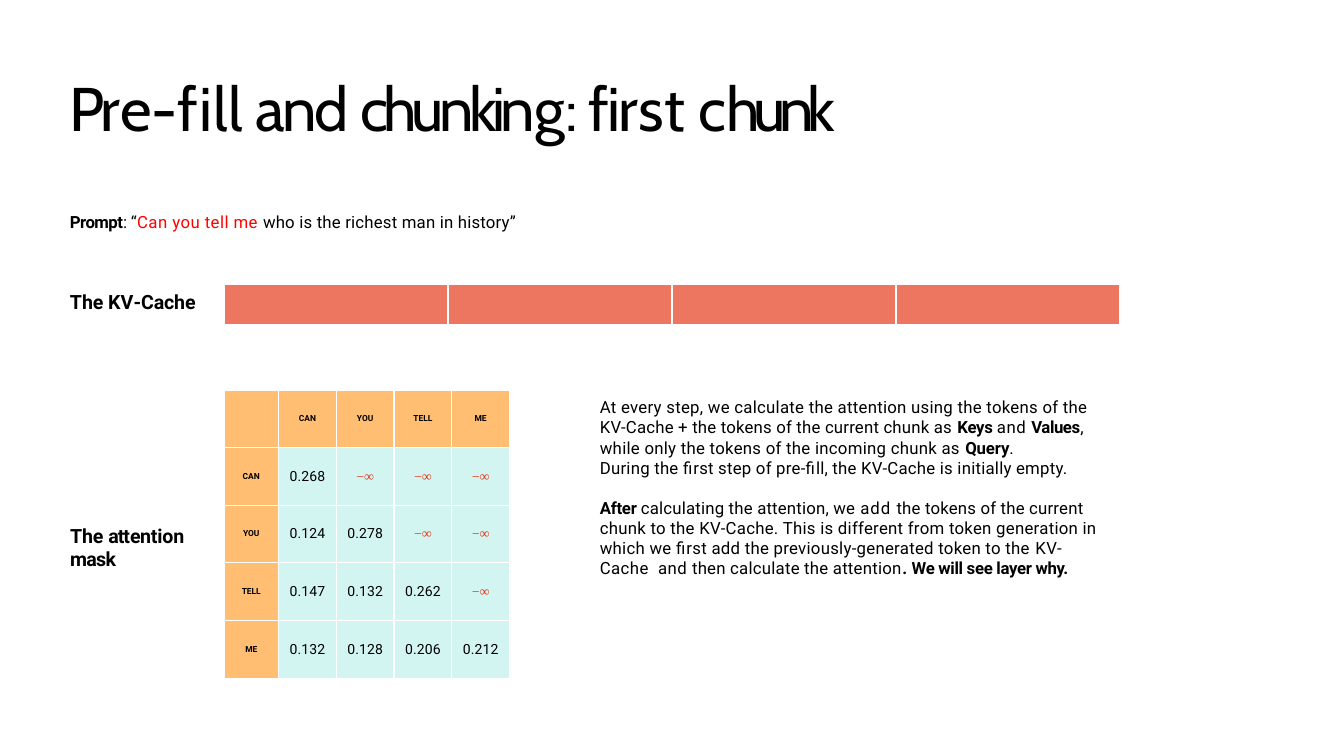
from pptx import Presentation
from pptx.dml.color import RGBColor
from pptx.enum.text import MSO_ANCHOR as ANCHOR, PP_ALIGN as ALIGN
from pptx.oxml import parse_xml
from pptx.oxml.ns import nsdecls
from pptx.util import Pt

BLACK = RGBColor(0x00, 0x00, 0x00)
RED = RGBColor(0xFF, 0x00, 0x00)
RUST = RGBColor(0xE2, 0x37, 0x17)
CORAL = RGBColor(0xED, 0x76, 0x60)
ORANGE = RGBColor(0xFF, 0xBE, 0x71)
MINT = RGBColor(0xD2, 0xF5, 0xF1)

TITLE = {"name": "Cabin", "size": Pt(44)}
BODY = {"name": "Roboto", "size": Pt(12)}
LABEL = {"name": "Roboto", "size": Pt(14), "bold": True}
TOKEN = {"name": "Roboto", "size": Pt(6), "bold": True}
SCORE = {"name": "Roboto", "size": Pt(10)}
MASKED = {"name": "Times New Roman", "size": Pt(10)}
BOLD = {"bold": True}

TEXTS = [
    ((49, 48, 556, 55), TITLE, [[
        ("Pr", -3.1), ("e", -3.5), ("-", -0.1), ("fi", 0.6), ("l", 0.3),
        ("l ", -0.4), ("and ", -1.9), ("chunkin", -3.4), ("g", -4),
        (": ", -2.6), ("fir", -1.1), ("s", -2.1), ("t ", -0.3),
        ("c", -3.4), ("hunk", -4.6)]]),
    ((49, 149.5, 330, 17), BODY, [[
        ("Prompt", -0.4, BOLD), (": ", -0.4), ("“", 0.3),
        ("Can you tell me ", 0.3, {"color": RED}),
        ("who is the richest man in history”", 0.15)]]),
    ((49, 205, 100, 19), LABEL, [[
        ("T", -0.7), ("he ", -0.15), ("KV", 0), ("-", -1.6), ("Cache", -0.15)]]),
    ((49, 372, 96, 36), LABEL, [
        [("T", -0.7), ("he ", -0.15), ("att", -0.7), ("ent", -0.35), ("ion", -0.1)],
        [("mask", -0.5)]]),
    ((427.5, 281.5, 353, 60), BODY, [
        [("At every step, we calculate the attention using the tokens of the ", 0.2),
         ("KV-Cache + the tokens of the current chunk as ", 0.15),
         ("Keys ", -0.2, BOLD), ("and ", 0.4), ("Values", -0.3, BOLD), (", ", -0.3),
         ("while only the tokens of the incoming chunk as ", 0.2),
         ("Query", -0.1, BOLD), (".", -0.1)],
        [("During the first step of pre-fill, the KV-Cache is initially empty.", 0.18)]]),
    ((427.5, 353.5, 363, 60), BODY, [[
        ("After ", -0.2, BOLD),
        ("calculating the attention, we ", 0.15), ("add ", 0.7),
        ("the tokens of the current ", 0.15),
        ("chunk to the KV-Cache. This is different from token generation in ", 0.2),
        ("which we first add the previously-generated token to the ", 0.2),
        ("KV-Cache  and ", 0.3), ("then calculate the attention", 0.17),
        (". ", 0.1, BOLD), ("We will see layer why.", -0.23, BOLD)]]),
]

TOKENS = ["CAN", "YOU", "TELL", "ME"]
SCORES = [
    ["0.268"],
    ["0.124", "0.278"],
    ["0.147", "0.132", "0.262"],
    ["0.132", "0.128", "0.206", "0.212"],
]
KV_BOX = (160, 203, 640, 29.5)
MASK_BOX = (160, 278.5, 204, 206)
MASK_COLS = [39, 41.25, 41.25, 41.25, 41.25]


def add_run(p, text, spacing, style):
    r = p.add_run()
    r.text = text
    style = {"bold": False, "color": BLACK, **style}
    r.font.color.rgb = style.pop("color")
    for key, value in style.items():
        setattr(r.font, key, value)
    r.font._element.set("spc", str(round(spacing * 100)))


def add_text(s, box, style, paragraphs):
    tf = s.shapes.add_textbox(*map(Pt, box)).text_frame
    tf.word_wrap = True
    for side, gap in {"left": 1, "top": 2, "right": 0, "bottom": 0}.items():
        setattr(tf, f"margin_{side}", Pt(gap))
    for i, runs in enumerate(paragraphs):
        p = tf.add_paragraph() if i else tf.paragraphs[0]
        for text, spacing, *extra in runs:
            add_run(p, text, spacing, {**style, **(extra[0] if extra else {})})


def add_grid(s, box, rows, cols):
    table = s.shapes.add_table(rows, cols, *map(Pt, box)).table
    table.first_row = table.horz_banding = False
    for row in table.rows:
        row.height = Pt(box[3] / rows)
    return table


def format_cell(cell, color, bottom=1):
    for side in ("left", "top", "right", "bottom"):
        setattr(cell, f"margin_{side}", 0)
    cell.vertical_anchor = ANCHOR.MIDDLE
    tcPr = cell._tc.get_or_add_tcPr()
    for edge, width in {"L": 1, "R": 1, "T": 1, "B": bottom}.items():
        tcPr.append(parse_xml(
            f'<a:ln{edge} {nsdecls("a")} w="{Pt(width)}"><a:solidFill>'
            f'<a:srgbClr val="FFFFFF"/></a:solidFill></a:ln{edge}>'))
    cell.fill.solid()
    cell.fill.fore_color.rgb = color


def mask_entry(row, col):
    if row == 0 or col == 0:
        return ("", *TOKENS)[row + col], 0, TOKEN, ORANGE
    if col > row:
        return "−∞", -0.1, {**MASKED, "color": RUST}, MINT
    return SCORES[row - 1][col - 1], 0.1, SCORE, MINT


def main():
    prs = Presentation()
    prs.slide_width, prs.slide_height = Pt(960), Pt(540)
    s = prs.slides.add_slide(prs.slide_layouts[6])

    for box, style, paragraphs in TEXTS:
        add_text(s, box, style, paragraphs)

    cache = add_grid(s, KV_BOX, 1, len(TOKENS))
    for cell in cache.iter_cells():
        format_cell(cell, CORAL, bottom=3)

    size = len(MASK_COLS)
    mask = add_grid(s, MASK_BOX, size, size)
    for col, width in enumerate(MASK_COLS):
        mask.columns[col].width = Pt(width)
        for row in range(size):
            text, spacing, style, color = mask_entry(row, col)
            cell = mask.cell(row, col)
            format_cell(cell, color)
            if text:
                p = cell.text_frame.paragraphs[0]
                p.alignment = ALIGN.CENTER
                add_run(p, text, spacing, style)

    prs.save("out.pptx")


if __name__ == "__main__":
    main()
